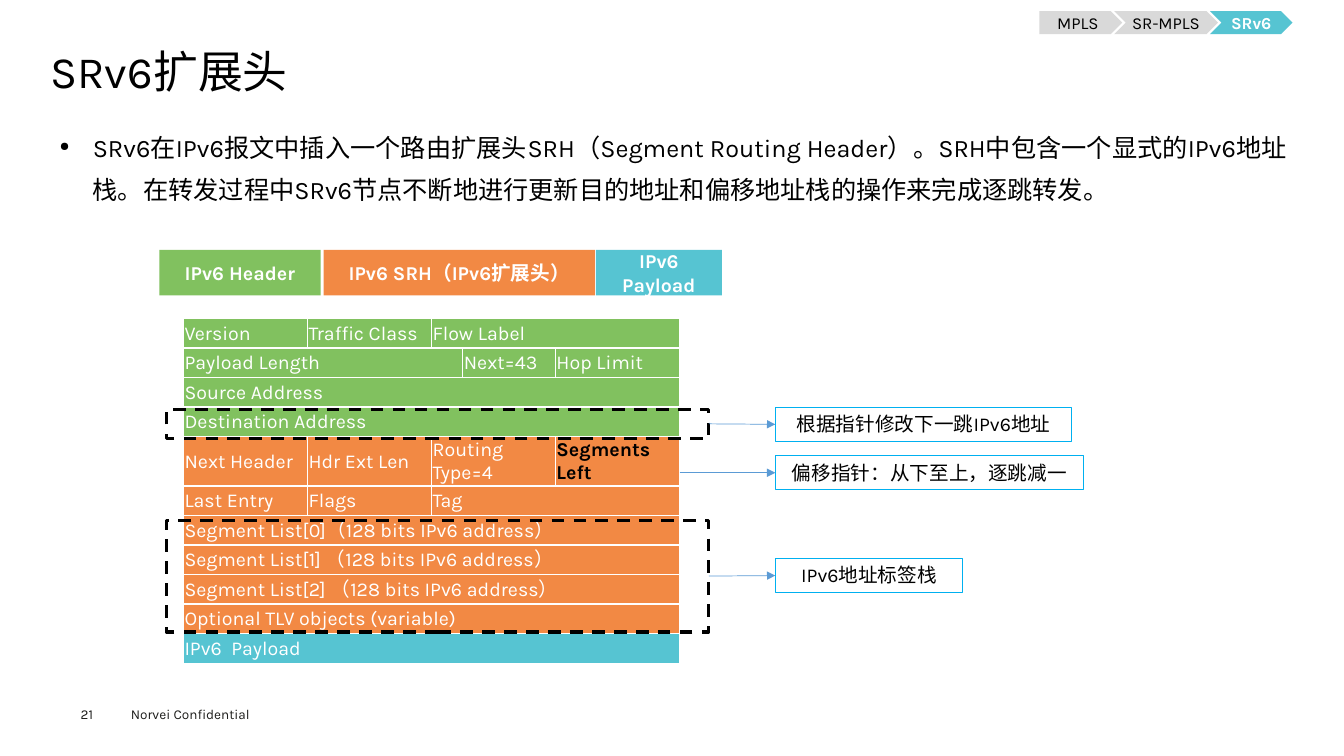
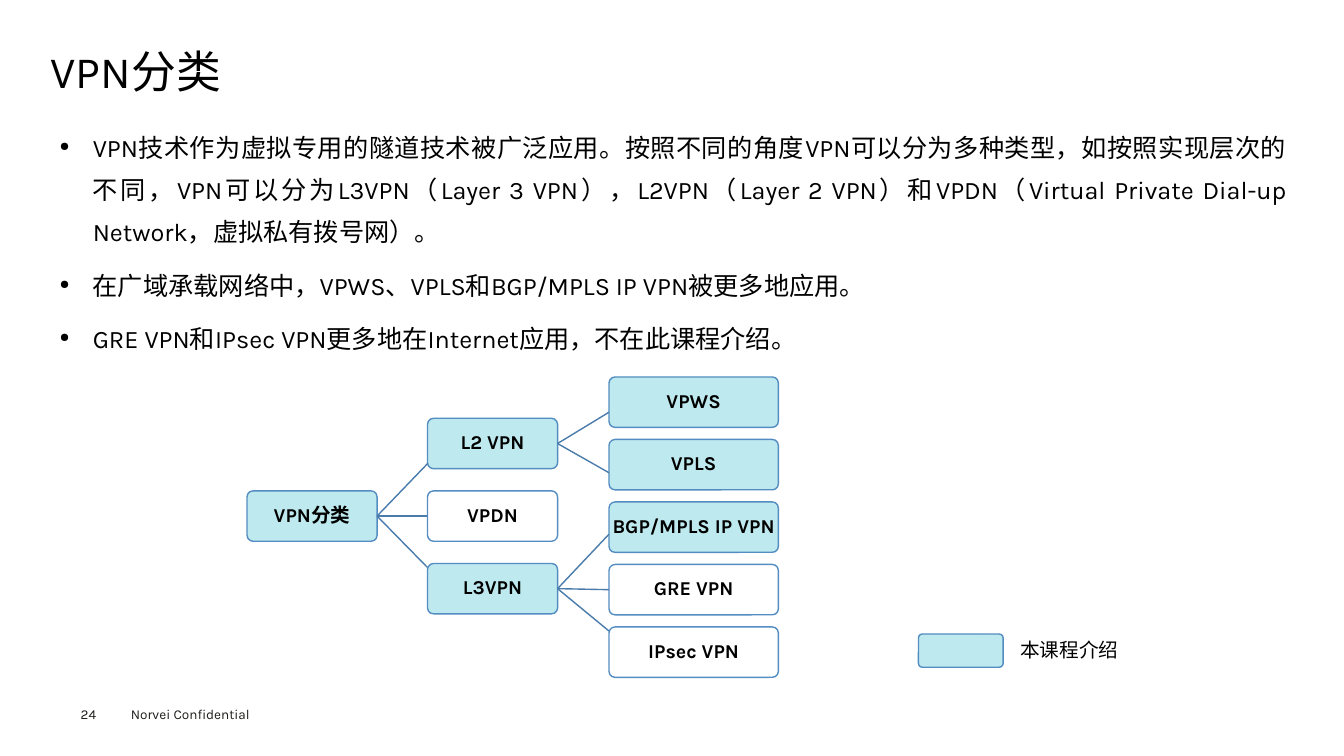
from pptx import Presentation
from pptx import util as u
from pptx.dml.color import RGBColor
from pptx.enum import dml, shapes, text
from pptx.oxml import parse_xml
from pptx.oxml.ns import nsdecls, qn
from lxml import etree

Inches, Pt = u.Inches, u.Pt
rgb = RGBColor.from_string
FONT = "Karla"
BLACK, WHITE, GREY, FOOTER = "000000", "FFFFFF", "D9D9D9", "1D1D1B"
GREEN, ORANGE, TEAL, PALE = "81C15F", "F28944", "56C4D2", "BEE9EE"
NODE_LINE, LINK, ARROW, NOTE_LINE = "538DC1", "497CAB", "5B9BD5", "00B0F0"
RECT, ROUND = shapes.MSO_SHAPE.RECTANGLE, shapes.MSO_SHAPE.ROUNDED_RECTANGLE
CENTER, MIDDLE, TOP = text.PP_ALIGN.CENTER, text.MSO_ANCHOR.MIDDLE, text.MSO_ANCHOR.TOP


def write(paragraph, content, size=14, color=BLACK, bold=False):
    run = paragraph.add_run()
    run.text = content
    run.font.size, run.font.bold, run.font.name = Pt(size), bold, FONT
    run.font.color.rgb = rgb(color)
    etree.SubElement(run.font._element, qn("a:ea"), typeface=FONT)


def put(slide, kind, place, content="", size=14, color=BLACK, bold=False, fill=None,
        line=None, weight=1, insets=(0.1, 0.05), anchor=MIDDLE, wrap=True):
    """Add a preset shape, or a text box when kind is None."""
    place = [Inches(v) for v in place]
    if kind is None:
        part = slide.shapes.add_textbox(*place)
    else:
        part = slide.shapes.add_shape(kind, *place)
        part.shadow.inherit = False
        if fill:
            part.fill.solid()
            part.fill.fore_color.rgb = rgb(fill)
        else:
            part.fill.background()
        if line:
            part.line.color.rgb = rgb(line)
            part.line.width = Pt(weight)
        else:
            part.line.fill.background()
        part.text_frame.paragraphs[0].alignment = CENTER
    frame = part.text_frame
    frame.word_wrap, frame.vertical_anchor = wrap, anchor
    frame.margin_left = frame.margin_right = Inches(insets[0])
    frame.margin_top = frame.margin_bottom = Inches(insets[1])
    if content:
        write(frame.paragraphs[0], content, size, color, bold)
    return part


deck = Presentation()
deck.slide_width, deck.slide_height = Inches(13.33), Inches(7.5)

# Title, bullets and footer of every slide
pages = [
    ("21", "SRv6扩展头", [
        "SRv6在IPv6报文中插入一个路由扩展头SRH（Segment Routing Header）。SRH中包含一个显式的"
        "IPv6地址栈。在转发过程中SRv6节点不断地进行更新目的地址和偏移地址栈的操作来完成逐跳转发。"]),
    ("24", "VPN分类", [
        "VPN技术作为虚拟专用的隧道技术被广泛应用。按照不同的角度VPN可以分为多种类型，如按照实现层次的"
        "不同，VPN可以分为L3VPN（Layer 3 VPN），L2VPN（Layer 2 VPN）和VPDN（Virtual Private "
        "Dial-up Network，虚拟私有拨号网）。",
        "在广域承载网络中，VPWS、VPLS和BGP/MPLS IP VPN被更多地应用。",
        "GRE VPN和IPsec VPN更多地在Internet应用，不在此课程介绍。"]),
]
for number, title, bullets in pages:
    slide = deck.slides.add_slide(deck.slide_layouts[6])
    put(slide, None, (1.2, 6.95, 1.6, 0.27), "Norvei Confidential", 9.7, FOOTER, anchor=TOP)
    put(slide, None, (0.8, 7, 0.55, 0.16), number, 9.7, FOOTER, insets=(0, 0), anchor=TOP)
    heading = put(slide, None, (0.5, 0.49, 12.35, 0.53), title, 32, insets=(0, 0), anchor=TOP)
    heading.text_frame.paragraphs[0].line_spacing = 0.9
    body = put(slide, None, (0.5, 1.15, 12.35, 5.34), insets=(0.09, 0.04), anchor=TOP).text_frame
    for index, bullet in enumerate(bullets):
        paragraph = body.add_paragraph() if index else body.paragraphs[0]
        properties = paragraph._p.get_or_add_pPr()
        properties.set("marL", str(Inches(0.33)))
        properties.set("indent", str(-Inches(0.33)))
        etree.SubElement(properties, qn("a:buSzPct"), val="50000")
        etree.SubElement(properties, qn("a:buChar"), char="●")
        paragraph.alignment = text.PP_ALIGN.JUSTIFY
        paragraph.line_spacing = 1.4
        if index:
            paragraph.space_before = Pt(7.9)
        write(paragraph, bullet, 18)
header_slide, vpn_slide = deck.slides

# Links: slide, start, end, start height, end height (None joins the middle), colour, width
links = []

# Navigation trail
for kind, left, width, label, fill, color in [
        (shapes.MSO_SHAPE.PENTAGON, 10.31, 0.82, "MPLS", GREY, BLACK),
        (shapes.MSO_SHAPE.CHEVRON, 12, 0.82, "SRv6", TEAL, WHITE),
        (shapes.MSO_SHAPE.CHEVRON, 11.05, 1.03, "SR-MPLS", GREY, BLACK)]:
    put(header_slide, kind, (left, 0.11, width, 0.23), label, 12, color,
        bold=color == WHITE, fill=fill, insets=(0, 0))

# Packet overview
for left, width, label, fill in [(1.58, 1.6, "IPv6 Header", GREEN),
                                 (3.21, 2.69, "IPv6 SRH（IPv6扩展头）", ORANGE),
                                 (5.91, 1.25, "IPv6 Payload", TEAL)]:
    put(header_slide, RECT, (left, 2.48, width, 0.45), label, 14, WHITE, True, fill)

# Header fields: each row lists (label, columns spanned)
fields = [
    (GREEN, [("Version", 1), ("Traffic Class", 1), ("Flow Label", 3)]),
    (GREEN, [("Payload Length", 3), ("Next=43", 1), ("Hop Limit", 1)]),
    (GREEN, [("Source Address", 5)]),
    (GREEN, [("Destination Address", 5)]),
    (ORANGE, [("Next Header", 1), ("Hdr Ext Len", 1), ("Routing Type=4", 2), ("Segments Left", 1)]),
    (ORANGE, [("Last Entry", 1), ("Flags", 1), ("Tag", 3)]),
    (ORANGE, [("Segment List[0]（128 bits IPv6 address）", 5)]),
    (ORANGE, [("Segment List[1] （128 bits IPv6 address）", 5)]),
    (ORANGE, [("Segment List[2] （128 bits IPv6 address）", 5)]),
    (ORANGE, [("Optional TLV objects (variable)", 5)]),
    (TEAL, [("IPv6  Payload", 5)]),
]
field_frame = header_slide.shapes.add_table(
    len(fields), 5, Inches(1.82), Inches(3.16), Inches(4.92), Inches(3.42))
field_table = field_frame.table
field_table.first_row = field_table.horz_banding = False
for column, width in zip(field_table.columns, (1.23, 1.23, 0.31, 0.92, 1.23)):
    column.width = Inches(width)
tall_row, tall_height = 4, 0.49
for r, (fill, row_fields) in enumerate(fields):
    row = field_table.rows[r]
    row.height = Inches(tall_height if r == tall_row else (3.42 - tall_height) / 10)
    for cell in row.cells:
        for side in ("lnL", "lnR", "lnT", "lnB"):
            cell._tc.get_or_add_tcPr().append(parse_xml(
                f'<a:{side} {nsdecls("a")} w="12700"><a:solidFill><a:srgbClr val="{WHITE}"/>'
                f'</a:solidFill></a:{side}>'))
        cell.fill.solid()
        cell.fill.fore_color.rgb = rgb(fill)
        cell.margin_left = cell.margin_right = cell.margin_top = Inches(0.01)
        cell.margin_bottom = 0
        cell.vertical_anchor = MIDDLE
    c = 0
    for label, span in row_fields:
        cell = field_table.cell(r, c)
        if span > 1:
            cell.merge(field_table.cell(r, c + span - 1))
        key_field = label == "Segments Left"
        write(cell.text_frame.paragraphs[0], label, 14, BLACK if key_field else WHITE, key_field)
        c += span

# Notes beside the fields, with the dashed frame each one explains
for frame_top, frame_height, note_top, note_width, note in [
        (4.06, 0.29, 4.04, 2.94, "根据指针修改下一跳IPv6地址"),
        (None, None, 4.52, 3.06, "偏移指针：从下至上，逐跳减一"),
        (5.16, 1.11, 5.54, 1.86, "IPv6地址标签栈")]:
    note_box = put(header_slide, RECT, (7.69, note_top, note_width, 0.34), note,
                   line=NOTE_LINE, weight=0.75, anchor=TOP)
    if frame_top:
        start, start_y = put(header_slide, RECT, (1.65, frame_top, 5.38, frame_height),
                             line=BLACK, weight=2.25), None
        start.line.dash_style = dml.MSO_LINE.DASH
    else:
        start, start_y = field_frame, note_top + 0.17
    links.append((header_slide, start, note_box, start_y, None, ARROW, 0.5))

# VPN tree: label, parent, covered in this course, height where its link ends
levels = [
    (2.45, 1.29, 4.87, 0, [("VPN分类", None, True, None)]),
    (4.24, 1.29, 4.15, 0.72, [("L2 VPN", "VPN分类", True, 4.6),
                              ("VPDN", "VPN分类", False, None),
                              ("L3VPN", "VPN分类", True, 5.63)]),
    (6.04, 1.68, 3.74, 0.62, [("VPWS", "L2 VPN", True, 4.09),
                              ("VPLS", "L2 VPN", True, 4.69),
                              ("BGP/MPLS IP VPN", "L3VPN", True, 5.3),
                              ("GRE VPN", "L3VPN", False, None),
                              ("IPsec VPN", "L3VPN", False, 6.26)]),
]
nodes = {}
for left, width, first_top, pitch, members in levels:
    for index, (label, parent, covered, end_y) in enumerate(members):
        node = put(vpn_slide, ROUND, (left, first_top + index * pitch, width, 0.5), label,
                   bold=True, fill=PALE if covered else WHITE, line=NODE_LINE,
                   insets=(0.03, 0.03), wrap=False)
        node.adjustments[0] = 0.12
        node.text_frame.paragraphs[0].line_spacing = 0.9
        nodes[label] = node
        if parent:
            links.append((vpn_slide, nodes[parent], node, None, end_y, LINK, 1))

# Legend
legend_key = put(vpn_slide, ROUND, (9.11, 6.29, 0.84, 0.33), fill=PALE, line=NODE_LINE)
legend_key.adjustments[0] = 0.12
put(vpn_slide, None, (10.02, 6.28, 1.28, 0.34), "本课程介绍", anchor=TOP)

# Connectors
for slide, start, end, start_y, end_y, color, weight in links:
    connector = slide.shapes.add_connector(
        shapes.MSO_CONNECTOR.STRAIGHT, start.left + start.width, Inches(start_y or 0),
        end.left, Inches(end_y or 0))
    if start_y is None:
        connector.begin_connect(start, 3)
    if end_y is None:
        connector.end_connect(end, 1)
    connector.line.color.rgb = rgb(color)
    connector.line.width = Pt(weight)
    if color == ARROW:
        etree.SubElement(connector.line._get_or_add_ln(), qn("a:tailEnd"), type="triangle")
    etree.SubElement(connector._element.spPr, qn("a:effectLst"))

deck.save("out.pptx")
